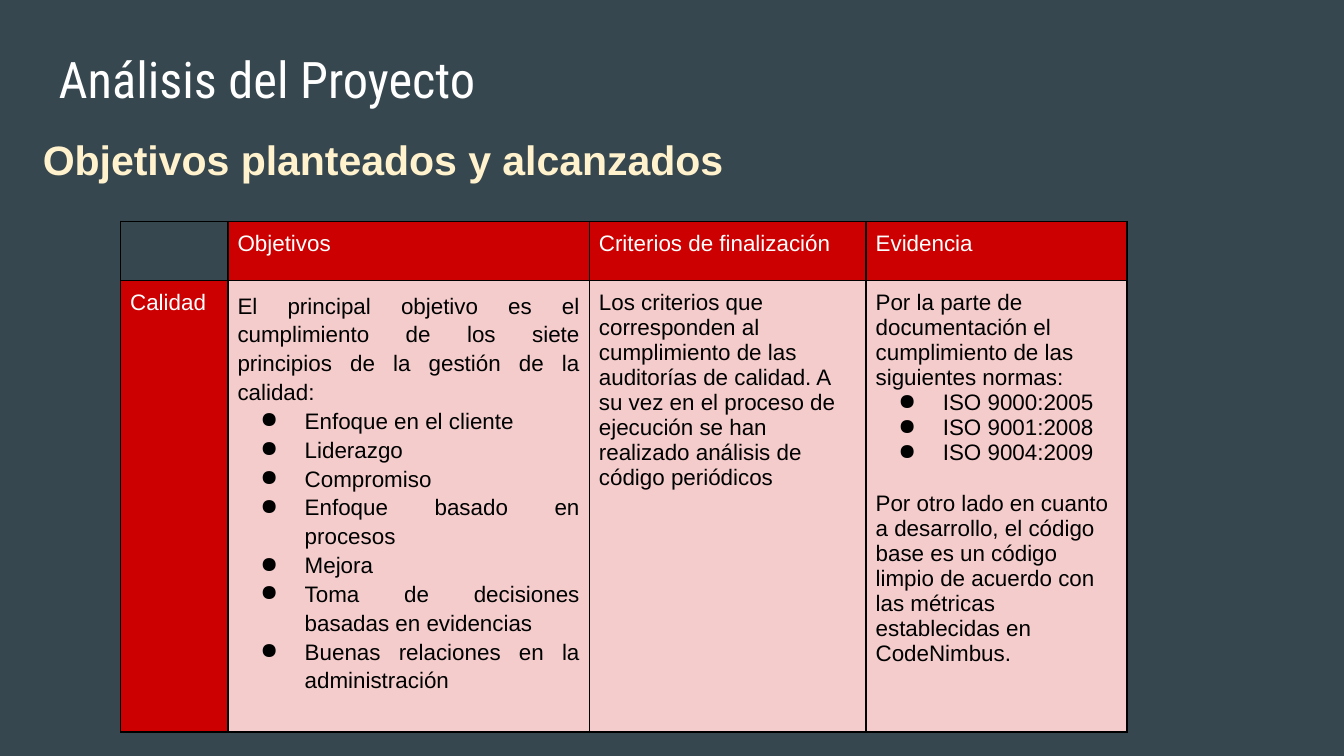
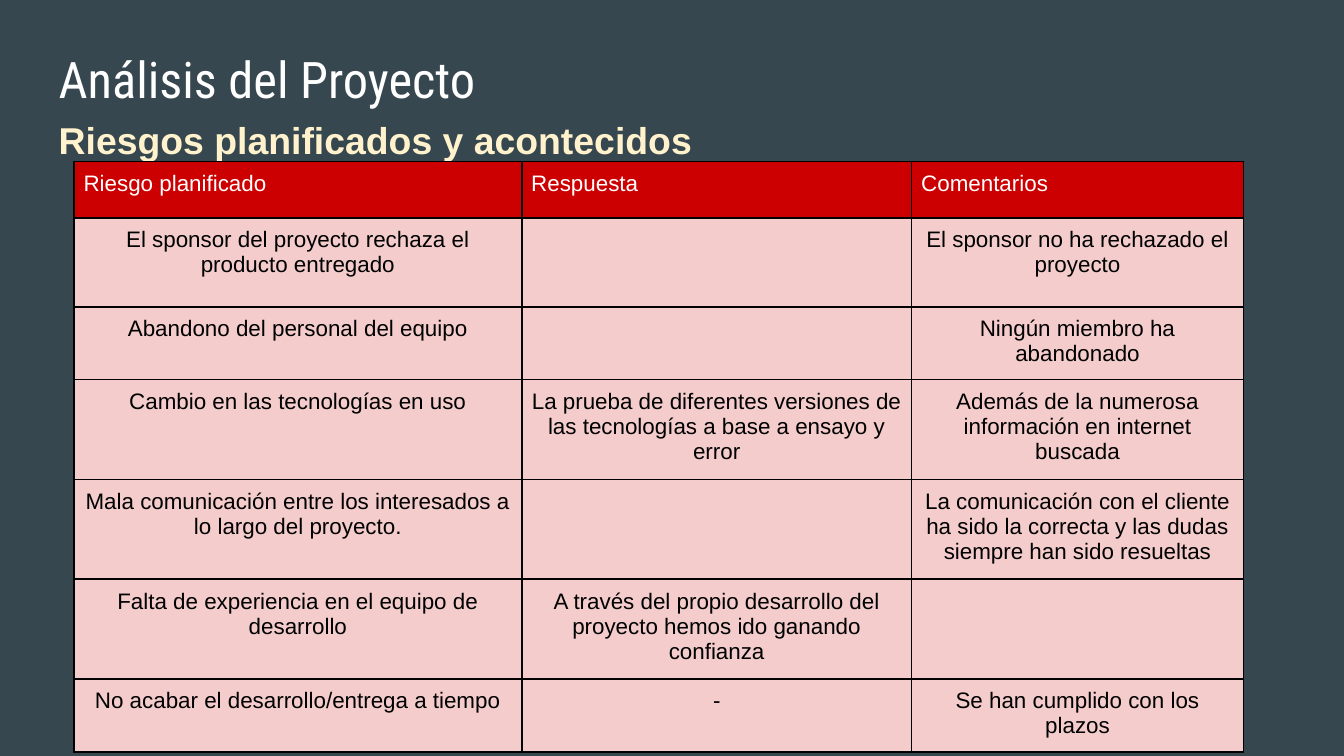
from lxml import etree
from pptx import Presentation
from pptx.dml.color import RGBColor
from pptx.enum import text
from pptx.oxml import ns
from pptx.util import Cm, Pt

# Content: lines starting with the bullet mark become list items
BULLET = "●"
TITLE = "Análisis del Proyecto"
OBJECTIVES = [
    ["", "Objetivos", "Criterios de finalización", "Evidencia"],
    [
        "Calidad",
        "El principal objetivo es el cumplimiento de los siete principios "
        "de la gestión de la calidad:\n"
        "●Enfoque en el cliente\n●Liderazgo\n●Compromiso\n"
        "●Enfoque basado en procesos\n●Mejora\n"
        "●Toma de decisiones basadas en evidencias\n"
        "●Buenas relaciones en la administración",
        "Los criterios que corresponden al cumplimiento de las auditorías "
        "de calidad. A su vez en el proceso de ejecución se han realizado "
        "análisis de código periódicos",
        "Por la parte de documentación el cumplimiento de las siguientes "
        "normas:\n●ISO 9000:2005\n●ISO 9001:2008\n●ISO 9004:2009\n"
        "Por otro lado en cuanto a desarrollo, el código base es un código "
        "limpio de acuerdo con las métricas establecidas en CodeNimbus.",
    ],
]
RISKS = [
    ["Riesgo planificado", "Respuesta", "Comentarios"],
    ["El sponsor del proyecto rechaza el producto entregado", "",
     "El sponsor no ha rechazado el proyecto"],
    ["Abandono del personal del equipo", "", "Ningún miembro ha abandonado"],
    ["Cambio en las tecnologías en uso",
     "La prueba de diferentes versiones de las tecnologías a base a ensayo y error",
     "Además de la numerosa información en internet buscada"],
    ["Mala comunicación entre los interesados a lo largo del proyecto.", "",
     "La comunicación con el cliente ha sido la correcta y las dudas siempre "
     "han sido resueltas"],
    ["Falta de experiencia en el equipo de desarrollo",
     "A través del propio desarrollo del proyecto hemos ido ganando confianza", ""],
    ["No acabar el desarrollo/entrega a tiempo", "-",
     "Se han cumplido con los plazos"],
]

LEFT, CENTER, JUSTIFY = (text.PP_ALIGN.LEFT, text.PP_ALIGN.CENTER,
                         text.PP_ALIGN.JUSTIFY)
# Sizes and places in centimetres; one alignment per column
SLIDES = [
    dict(subtitle="Objetivos planteados y alcanzados", size=22,
         box=(0.56, 2.16, 15.72, 1.45), rows=OBJECTIVES, at=(2.28, 4.19),
         widths=[2.03, 6.83, 5.23, 4.93], heights=[1.11, 8.53],
         aligns=[LEFT, JUSTIFY, LEFT, LEFT], row_heads=True),
    dict(subtitle="Riesgos planificados y acontecidos", size=20,
         box=(0.86, 1.83, 15.72, 1.37), rows=RISKS, at=(1.4, 3.05),
         widths=[8.46, 7.37, 6.27],
         heights=[1.07, 1.68, 1.35, 1.88, 1.88, 1.88, 1.36],
         aligns=[CENTER] * 3, row_heads=False),
]

# Shared look
SLATE = RGBColor(0x37, 0x47, 0x4F)
WHITE = RGBColor(0xFF, 0xFF, 0xFF)
CREAM = RGBColor(0xFF, 0xF2, 0xCC)
RED = RGBColor(0xCC, 0x00, 0x00)
PINK = RGBColor(0xF4, 0xCC, 0xCC)
BLACK = RGBColor(0x00, 0x00, 0x00)
TITLE_BOX = (0.86, 0.66, 23.67, 1.6)
BOX_INSET, CELL_INSET = 0.25, 0.18


def style(p, size, color, name="Arial", bold=False):
    for r in p.runs:
        f = r.font
        f.size, f.name, f.bold, f.color.rgb = Pt(size), name, bold, color


def set_margins(obj, inset):
    for side in ("left", "top", "right", "bottom"):
        setattr(obj, f"margin_{side}", Cm(inset))


def add_text(s, box, words):
    tf = s.shapes.add_textbox(*map(Cm, box)).text_frame
    tf.word_wrap = True
    set_margins(tf, BOX_INSET)
    tf.text = words
    return tf, tf.paragraphs[0]


def sub(parent, tag, **attrs):
    return etree.SubElement(parent, ns.qn(tag), attrs)


def add_bullet(p):
    pPr = p._p.get_or_add_pPr()
    pPr.set("marL", str(Cm(1.27)))
    pPr.set("indent", str(-Cm(0.84)))
    sub(sub(pPr, "a:buClr"), "a:srgbClr", val=str(BLACK))
    sub(pPr, "a:buChar", char=BULLET)


def add_borders(cell):
    tcPr = cell._tc.get_or_add_tcPr()
    for side in "LRTB":
        ln = sub(tcPr, f"a:ln{side}", w=str(Pt(1)))
        sub(sub(ln, "a:solidFill"), "a:srgbClr", val=str(BLACK))


def fill_cell(cell, words, head, align):
    set_margins(cell, CELL_INSET)
    add_borders(cell)
    if head and not words:
        cell.fill.background()
    else:
        cell.fill.solid()
        cell.fill.fore_color.rgb = RED if head else PINK
    tf = cell.text_frame
    tf.text = words.replace(BULLET, "")
    after_list = False
    for p, line in zip(tf.paragraphs, words.split("\n")):
        p.alignment = LEFT if head else align
        if p.alignment == JUSTIFY:
            p.line_spacing = 1.15
        listed = line.startswith(BULLET)
        if after_list and not listed:
            p.space_before = Pt(13.5)
        if listed:
            add_bullet(p)
        after_list = listed
        p.font.size = Pt(12)
        style(p, 12, WHITE if head else BLACK)


def add_grid(s, d):
    rows, widths, heights = d["rows"], d["widths"], d["heights"]
    frame = s.shapes.add_table(len(rows), len(widths), *map(Cm, d["at"]),
                               Cm(sum(widths)), Cm(sum(heights)))
    table = frame.table
    table.first_row = table.horz_banding = False
    for col, width in zip(table.columns, widths):
        col.width = Cm(width)
    for i, (row, height) in enumerate(zip(rows, heights)):
        table.rows[i].height = Cm(height)
        for j, words in enumerate(row):
            head = i == 0 or (j == 0 and d["row_heads"])
            fill_cell(table.cell(i, j), words, head, d["aligns"][j])


def add_slide(prs, d):
    s = prs.slides.add_slide(prs.slide_layouts[6])
    s.background.fill.solid()
    s.background.fill.fore_color.rgb = SLATE
    # Title and subtitle
    _, p = add_text(s, TITLE_BOX, TITLE)
    style(p, 27, WHITE, "Roboto Condensed")
    tf, p = add_text(s, d["box"], d["subtitle"])
    tf.auto_size = text.MSO_AUTO_SIZE.SHAPE_TO_FIT_TEXT
    p.alignment, p.line_spacing = JUSTIFY, 1.15
    p.space_before, p.space_after = Pt(20), Pt(6)
    style(p, d["size"], CREAM, bold=True)
    # Table
    add_grid(s, d)


def main():
    prs = Presentation()
    prs.slide_width, prs.slide_height = Cm(25.4), Cm(14.29)
    for d in SLIDES:
        add_slide(prs, d)
    prs.save("out.pptx")


if __name__ == "__main__":
    main()
